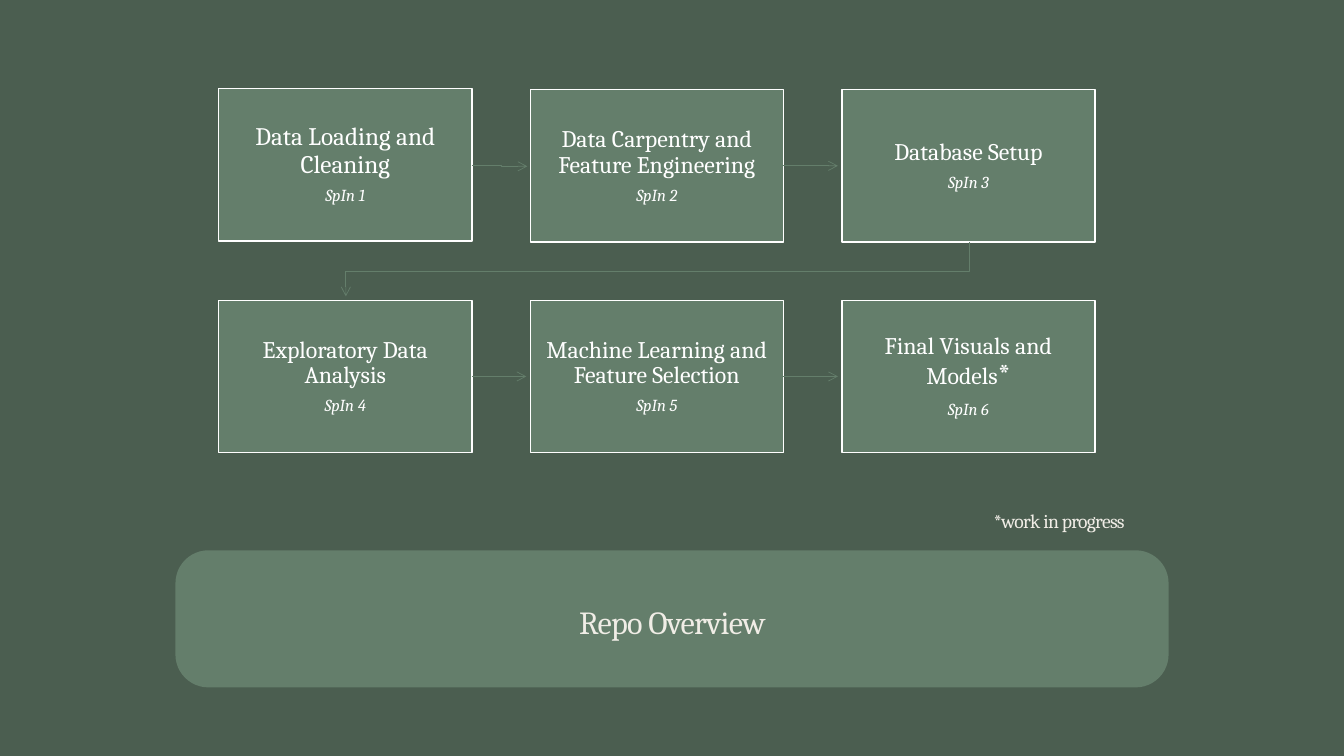
from lxml import etree
from pptx import Presentation
from pptx import util as u
from pptx.dml.color import RGBColor
from pptx.enum import shapes, text
from pptx.oxml import ns

PX = 9144
FOREST = RGBColor(0x4B, 0x5E, 0x50)
SAGE = RGBColor(0x64, 0x7E, 0x6B)
WHITE = RGBColor(0xFF, 0xFF, 0xFF)
CREAM = RGBColor(0xF0, 0xED, 0xE6)
FONT = "Cambria"
CARD_WIDTH, CARD_HEIGHT = 251, 151
COLUMN_STEP, ROW_STEP = 309, 209
LEFT, TOP = 217, 89
ARROW_GAP = 4

STEPS = [
    ("Data Loading and Cleaning", 18),
    ("Data Carpentry and Feature Engineering", 17),
    ("Database Setup", 17),
    ("Exploratory Data Analysis", 17),
    ("Machine Learning and Feature Selection", 17),
    ("Final Visuals and Models", 17),
]


def px(*lengths):
    return [u.Emu(length * PX) for length in lengths]


def apply_format(target, values):
    for name, value in values.items():
        setattr(target, name, value)


def add_run(paragraph, words, size, color, italic=False, spacing=None):
    run = paragraph.add_run()
    run.text = words
    apply_format(run.font, {"name": FONT, "size": u.Pt(size), "italic": italic, "bold": False})
    run.font.color.rgb = color
    if spacing is not None:
        run.font._element.set("spc", str(spacing))


def format_frame(frame, horizontal=10, vertical=5):
    side, edge = px(horizontal, vertical)
    apply_format(frame, {
        "word_wrap": True,
        "auto_size": text.MSO_AUTO_SIZE.NONE,
        "vertical_anchor": text.MSO_ANCHOR.MIDDLE,
        "margin_left": side, "margin_right": side,
        "margin_top": edge, "margin_bottom": edge,
    })


def format_card_paragraph(paragraph):
    apply_format(paragraph, {"alignment": text.PP_ALIGN.CENTER, "line_spacing": 0.9})
    properties = paragraph._p.get_or_add_pPr()
    space_after = etree.SubElement(properties, ns.qn("a:spcAft"))
    etree.SubElement(space_after, ns.qn("a:spcPct"), val="35000")


def add_card(slide, index, label, size):
    row, column = divmod(index, 3)
    top = TOP + row * ROW_STEP - (1 if index == 0 else 0)
    card = slide.shapes.add_shape(
        shapes.MSO_SHAPE.RECTANGLE,
        *px(LEFT + column * COLUMN_STEP, top, CARD_WIDTH, CARD_HEIGHT))
    card.shadow.inherit = False
    card.fill.solid()
    card.fill.fore_color.rgb = SAGE
    card.line.color.rgb = WHITE
    card.line.width = u.Pt(1)
    inset = 14 if index == 0 else 13
    frame = card.text_frame
    format_frame(frame, inset, inset)
    heading, step = frame.paragraphs[0], frame.add_paragraph()
    for paragraph in (heading, step):
        format_card_paragraph(paragraph)
    add_run(heading, label, size, WHITE)
    if index == len(STEPS) - 1:
        add_run(heading, "*", 21, WHITE)
    add_run(step, f"SpIn {index + 1}", 12, WHITE, italic=True)
    return card


def format_arrow(arrow):
    arrow.line.color.rgb = SAGE
    arrow.line.width = u.Pt(0.5)
    line = arrow.line._get_or_add_ln()
    etree.SubElement(line, ns.qn("a:tailEnd"), type="arrow")


def add_straight_arrow(slide, card, following):
    middle = card.top + card.height // 2
    arrow = slide.shapes.add_connector(
        shapes.MSO_CONNECTOR.STRAIGHT, card.left + card.width, middle,
        following.left - ARROW_GAP * PX, middle)
    arrow.begin_connect(card, 3)
    format_arrow(arrow)
    etree.SubElement(arrow._element.spPr, ns.qn("a:effectLst"))


def add_bent_arrow(slide, points):
    builder = slide.shapes.build_freeform(*points[0], scale=PX)
    builder.add_line_segments(points[1:], close=False)
    arrow = builder.convert_to_shape()
    arrow.shadow.inherit = False
    arrow.fill.background()
    format_arrow(arrow)


def add_title(slide):
    title = slide.shapes.title
    bar = slide.shapes.add_shape(shapes.MSO_SHAPE.ROUNDED_RECTANGLE, *px(174, 546, 985, 136))
    bar.adjustments[0] = 0.24
    bar.shadow.inherit = False
    bar.fill.solid()
    bar.fill.fore_color.rgb = SAGE
    bar.line.fill.background()
    title._element.addprevious(bar._element)
    apply_format(title, dict(zip(("left", "top", "width", "height"), px(217, 567, 900, 100))))
    format_frame(title.text_frame)
    paragraph = title.text_frame.paragraphs[0]
    paragraph.alignment = text.PP_ALIGN.CENTER
    add_run(paragraph, "Repo Overview", 23, CREAM, spacing=-50)


def add_note(slide):
    note = slide.shapes.add_textbox(*px(908, 492, 285, 50))
    format_frame(note.text_frame)
    paragraph = note.text_frame.paragraphs[0]
    paragraph.alignment = text.PP_ALIGN.CENTER
    add_run(paragraph, "*work in progress", 14, CREAM, spacing=-50)


def main():
    presentation = Presentation()
    presentation.slide_width, presentation.slide_height = u.Inches(13.33), u.Inches(7.5)
    slide = presentation.slides.add_slide(presentation.slide_layouts[5])
    slide.background.fill.solid()
    slide.background.fill.fore_color.rgb = FOREST
    add_title(slide)
    cards = [add_card(slide, index, *step) for index, step in enumerate(STEPS)]
    for index in (1, 3, 4):
        add_straight_arrow(slide, cards[index], cards[index + 1])
    add_bent_arrow(slide, [(468, 164), (497, 164), (497, 165), (523, 165)])
    add_bent_arrow(slide, [(961, 240), (961, 269), (343, 269), (343, 294)])
    add_note(slide)
    presentation.save("out.pptx")


if __name__ == "__main__":
    main()
